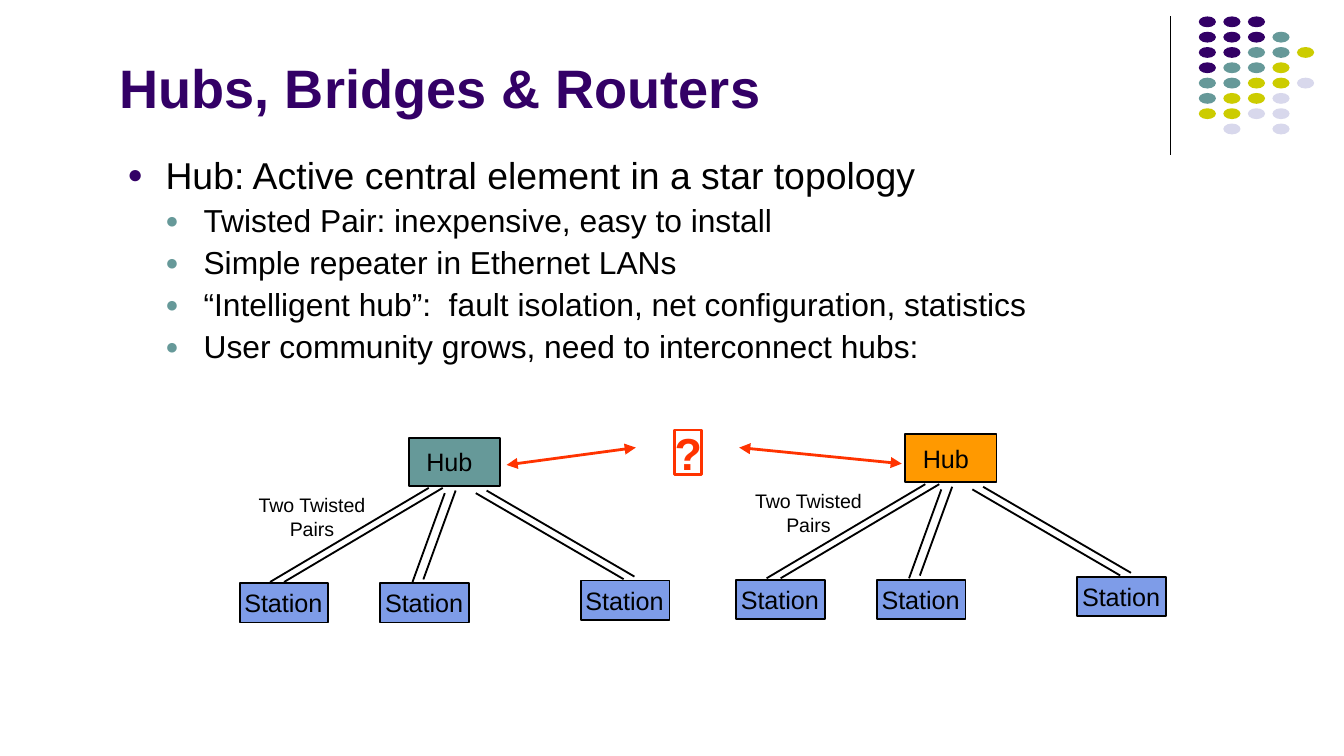
from typing import NamedTuple, Optional

from lxml.etree import SubElement
from pptx import Presentation
from pptx.dml.color import RGBColor
from pptx.enum.shapes import MSO_CONNECTOR, MSO_SHAPE
from pptx.enum.text import MSO_ANCHOR as Anchor, PP_ALIGN as Align
from pptx.oxml.ns import qn
from pptx.util import Pt

BLACK = RGBColor(0x00, 0x00, 0x00)
PURPLE = RGBColor(0x33, 0x00, 0x66)
TEAL = RGBColor(0x66, 0x99, 0x99)
YELLOW = RGBColor(0xCC, 0xCC, 0x00)
LAVENDER = RGBColor(0xD8, 0xD8, 0xEC)
BLUE = RGBColor(0x7E, 0x9C, 0xE8)
ORANGE = RGBColor(0xFF, 0x99, 0x00)
RED = RGBColor(0xFF, 0x33, 0x00)

DOT_COLORS = {"P": PURPLE, "T": TEAL, "Y": YELLOW, "L": LAVENDER}
DOT_ROWS = ["PPP", "PPPT", "PPTTY", "PTTY", "TTYYL", "TYYL", "YYLL", " L L"]


class Point(NamedTuple):
    x: float
    y: float

    def shifted(self, offset: "Point") -> "Point":
        return Point(self.x + offset.x, self.y + offset.y)


class Size(NamedTuple):
    width: float
    height: float


class Style(NamedTuple):
    size: float
    color: RGBColor = BLACK
    bold: bool = False
    align: Align = Align.LEFT


class Bullet(NamedTuple):
    text: str
    level: int = 1


class Pair(NamedTuple):
    """Two parallel strands; the second is the first moved by gap."""
    start: Point
    end: Point
    gap: Point


HUB_SIZE = Size(49, 25.5)
STATION_SIZE = Size(47.5, 21)
NODE_STYLE = Style(13.5)
BULLET_STYLES = [(Style(20), PURPLE), (Style(17), TEAL)]

BULLETS = [
    Bullet("Hub: Active central element in a star topology", 0),
    Bullet("Twisted Pair: inexpensive, easy to install"),
    Bullet("Simple repeater in Ethernet LANs"),
    Bullet("“Intelligent hub”:  fault isolation, net configuration, statistics"),
    Bullet("User community grows, need to interconnect hubs:"),
]

# The left star; the right one is the same star, shifted.
HUB = Point(218.9, 234.7)
STATIONS = [Point(128.4, 312.5), Point(203.8, 312.5), Point(311.2, 311)]
PAIRS = [
    Pair(Point(144.7, 311.8), Point(229.7, 261.4), Point(7.5, 0)),
    Pair(Point(238.3, 264.2), Point(221, 311.8), Point(5.8, -1.4)),
    Pair(Point(254.9, 264.2), Point(334.1, 310.3), Point(5.8, -1.4)),
]
PAIR_LABEL = Point(131.8, 260.6)
STARS = [(Point(0, 0), TEAL), (Point(266, -2), ORANGE)]


def add_run(paragraph, text: str, style: Style) -> None:
    paragraph.alignment = style.align
    run = paragraph.add_run()
    run.text = text
    run.font.name = "Arial"
    run.font.size = Pt(style.size)
    run.font.bold = style.bold
    run.font.color.rgb = style.color


def add_text_box(slide, at: Point, size: Size, anchor: Anchor = Anchor.TOP):
    frame = slide.shapes.add_textbox(Pt(at.x), Pt(at.y), Pt(size.width), Pt(size.height)).text_frame
    frame.word_wrap = True
    frame.vertical_anchor = anchor
    return frame


def add_shape(slide, kind: MSO_SHAPE, at: Point, size: Size, fill: Optional[RGBColor],
              line: Optional[RGBColor] = None, line_width: float = 1):
    shape = slide.shapes.add_shape(kind, Pt(at.x), Pt(at.y), Pt(size.width), Pt(size.height))
    shape.shadow.inherit = False
    if fill is None:
        shape.fill.background()
    else:
        shape.fill.solid()
        shape.fill.fore_color.rgb = fill
    if line is None:
        shape.line.fill.background()
    else:
        shape.line.color.rgb = line
        shape.line.width = Pt(line_width)
    return shape


def label_shape(shape, text: str, style: Style, inset: float = 0, wrap: bool = True) -> None:
    frame = shape.text_frame
    frame.word_wrap = wrap
    frame.vertical_anchor = Anchor.MIDDLE
    frame.margin_left = Pt(inset)
    frame.margin_right = frame.margin_top = frame.margin_bottom = 0
    add_run(frame.paragraphs[0], text, style)


def add_line(slide, start: Point, end: Point, color: RGBColor = BLACK,
             width: float = 1, arrows: bool = False) -> None:
    connector = slide.shapes.add_connector(
        MSO_CONNECTOR.STRAIGHT, Pt(start.x), Pt(start.y), Pt(end.x), Pt(end.y))
    connector.line.color.rgb = color
    connector.line.width = Pt(width)
    if arrows:
        for tag in ("a:headEnd", "a:tailEnd"):
            SubElement(connector.line._get_or_add_ln(), qn(tag), type="triangle")
    SubElement(connector._element.spPr, qn("a:effectLst"))


def add_bullet(paragraph, bullet: Bullet) -> None:
    style, color = BULLET_STYLES[bullet.level]
    properties = paragraph._p.get_or_add_pPr()
    properties.set("marL", str(Pt(20.4 * (bullet.level + 1))))
    properties.set("indent", str(Pt(-20.4)))
    paragraph.line_spacing = 0.9
    if bullet.level:
        paragraph.level = bullet.level
        paragraph.space_before = Pt(4.2)
    SubElement(SubElement(properties, qn("a:buClr")), qn("a:srgbClr"), val=str(color))
    SubElement(properties, qn("a:buSzPct"), val="70000")
    SubElement(properties, qn("a:buFont"), typeface="Arial")
    SubElement(properties, qn("a:buChar"), char="●")
    add_run(paragraph, bullet.text, style)


def add_dots(slide) -> None:
    for row, letters in enumerate(DOT_ROWS):
        for column, letter in enumerate(letters):
            if letter in DOT_COLORS:
                at = Point(642.2 + 13.15 * column, 8.8 + 8.2 * row)
                add_shape(slide, MSO_SHAPE.OVAL, at, Size(9.2, 5.8), DOT_COLORS[letter])


def add_star(slide, offset: Point, hub_color: RGBColor) -> None:
    hub = add_shape(slide, MSO_SHAPE.RECTANGLE, HUB.shifted(offset), HUB_SIZE, hub_color, BLACK)
    label_shape(hub, "Hub", NODE_STYLE, inset=9.5)
    for at in STATIONS:
        station = add_shape(slide, MSO_SHAPE.RECTANGLE, at.shifted(offset), STATION_SIZE, BLUE, BLACK)
        label_shape(station, "Station", NODE_STYLE, inset=2.5)
    for pair in PAIRS:
        start, end = pair.start.shifted(offset), pair.end.shifted(offset)
        add_line(slide, start, end)
        add_line(slide, start.shifted(pair.gap), end.shifted(pair.gap))
    frame = add_text_box(slide, PAIR_LABEL.shifted(offset), Size(70.6, 31))
    frame.margin_left = frame.margin_right = Pt(2)
    style = Style(10.5, align=Align.CENTER)
    add_run(frame.paragraphs[0], "Two Twisted", style)
    add_run(frame.add_paragraph(), "Pairs", style)


def main() -> None:
    presentation = Presentation()
    presentation.slide_width, presentation.slide_height = Pt(720), Pt(405)
    slide = presentation.slides.add_slide(presentation.slide_layouts[6])

    add_line(slide, Point(627.1, 8.8), Point(627.1, 83), width=0.75)
    add_dots(slide)

    title = add_text_box(slide, Point(57, 7.2), Size(573, 60.5), Anchor.BOTTOM)
    add_run(title.paragraphs[0], "Hubs, Bridges & Routers", Style(29, PURPLE, bold=True))

    body = add_text_box(slide, Point(61.2, 80.6), Size(535.7, 122.4))
    for index, bullet in enumerate(BULLETS):
        add_bullet(body.add_paragraph() if index else body.paragraphs[0], bullet)

    for offset, hub_color in STARS:
        add_star(slide, offset, hub_color)

    question = add_shape(slide, MSO_SHAPE.RECTANGLE, Point(361.4, 230.4), Size(14.6, 23.8), None, RED, 1.5)
    label_shape(question, "?", Style(24, RED, bold=True, align=Align.CENTER), wrap=False)
    add_line(slide, Point(271.4, 249.1), Point(340.6, 239.8), RED, 1.5, arrows=True)
    add_line(slide, Point(483.1, 248.4), Point(396, 239.8), RED, 1.5, arrows=True)

    presentation.save("out.pptx")


if __name__ == "__main__":
    main()
